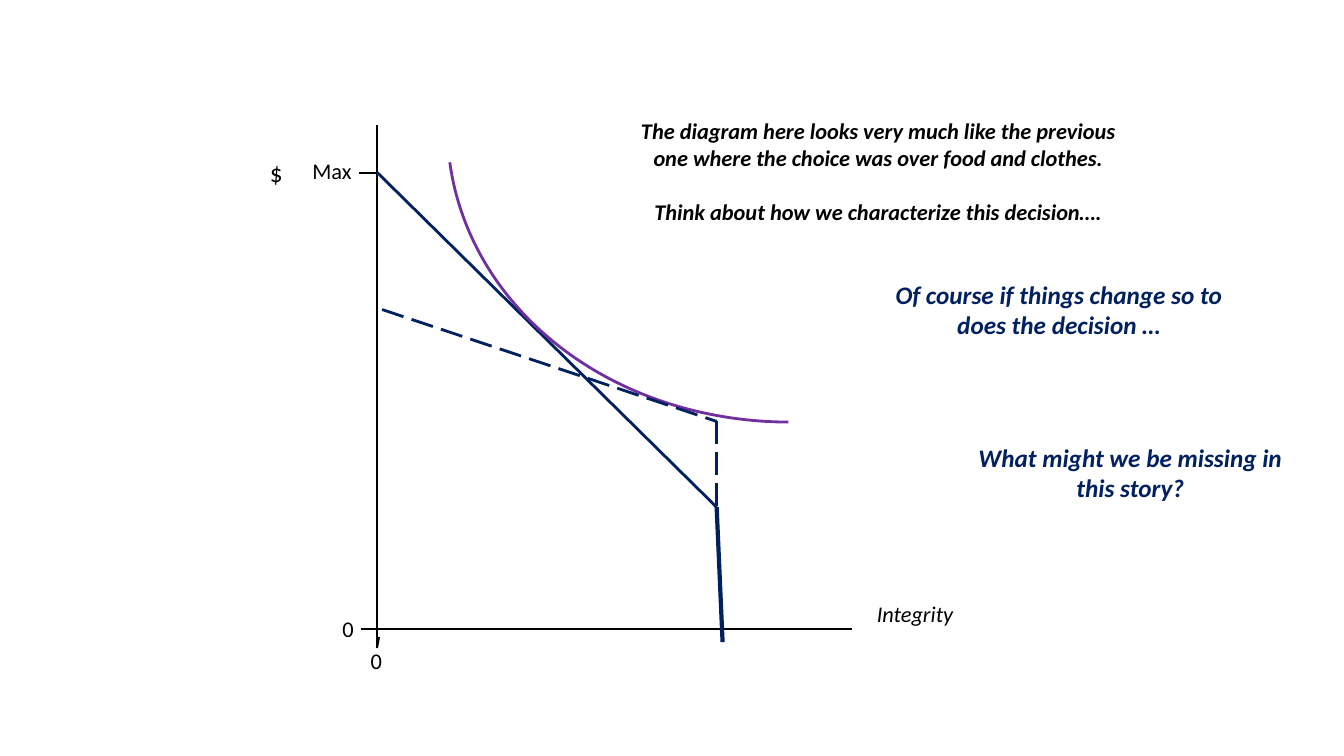
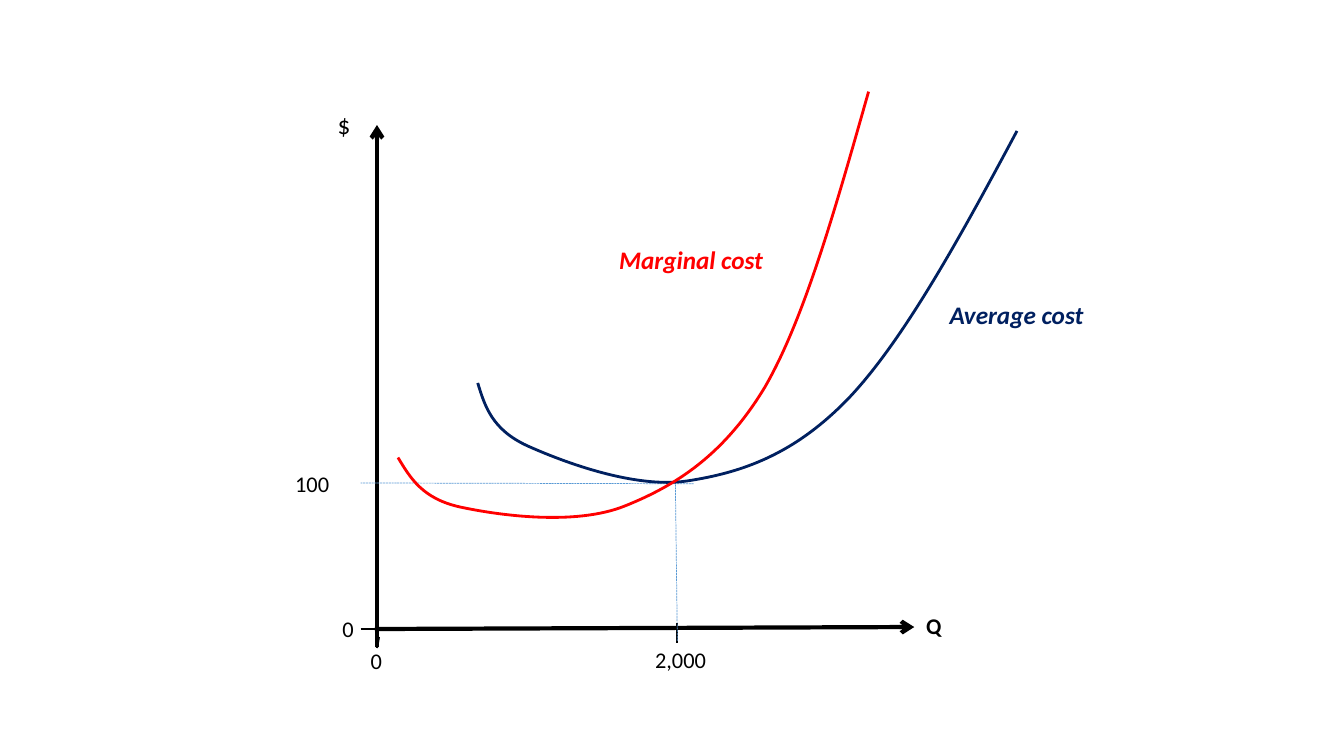
from lxml import etree
from pptx import Presentation
from pptx.dml.color import RGBColor
from pptx.enum.dml import MSO_LINE
from pptx.enum.shapes import MSO_CONNECTOR, MSO_SHAPE
from pptx.enum.text import MSO_AUTO_SIZE, PP_ALIGN
from pptx.oxml.ns import qn
from pptx.util import Cm, Pt

BLACK = RGBColor(0x00, 0x00, 0x00)
NAVY = RGBColor(0x00, 0x20, 0x60)
PURPLE = RGBColor(0x70, 0x30, 0xA0)
RED = RGBColor(0xFF, 0x00, 0x00)
BLUE = RGBColor(0x5B, 0x9B, 0xD5)

STRAIGHT = MSO_CONNECTOR.STRAIGHT
ARC = MSO_SHAPE.ARC
LONG_DASH = MSO_LINE.LONG_DASH
SHORT_DASH = MSO_LINE.SQUARE_DOT
LEFT = PP_ALIGN.LEFT
CENTER = PP_ALIGN.CENTER
GROW = MSO_AUTO_SIZE.SHAPE_TO_FIT_TEXT

FONT = "Calibri"
LABEL_SIZE = 16
NOTE_SIZE = 18
AXIS_X = 9.5
AXIS_Y = 15.85
LABEL_HEIGHT = 0.94
CURVE_WIDTH = 2
TICK_WIDTH = 1.5


class DiagramDeck:
    def __init__(self):
        self.deck = Presentation()
        self.deck.slide_width = Cm(33.87)
        self.deck.slide_height = Cm(19.05)
        self.page = None

    def add_page(self):
        self.page = self.deck.slides.add_slide(self.deck.slide_layouts[6])

    def stroke(self, line, color, width, dash=None):
        line.color.rgb = color
        line.width = Pt(width)
        if dash is not None:
            line.dash_style = dash

    def line(self, start, end, color=BLACK, width=TICK_WIDTH, dash=None, arrow=False):
        points = [Cm(value) for value in (*start, *end)]
        connector = self.page.shapes.add_connector(STRAIGHT, *points)
        self.stroke(connector.line, color, width, dash)
        properties = connector._element.spPr
        if arrow:
            outline = properties.find(qn("a:ln"))
            etree.SubElement(outline, qn("a:headEnd"), type="arrow")
        etree.SubElement(properties, qn("a:effectLst"))

    def text(self, content, left, top, width, height=LABEL_HEIGHT, size=LABEL_SIZE,
             color=BLACK, bold=False, italic=False, align=LEFT):
        box = self.page.shapes.add_textbox(Cm(left), Cm(top), Cm(width), Cm(height))
        frame = box.text_frame
        frame.word_wrap = True
        frame.auto_size = GROW
        frame.text = content
        for index, para in enumerate(frame.paragraphs):
            para.alignment = align
            if index:
                para.space_before = Pt(19.5)
            for span in para.runs:
                span.font.name = FONT
                span.font.size = Pt(size)
                span.font.bold = bold
                span.font.italic = italic
                span.font.color.rgb = color

    def note(self, content, left, top, width, height, color=NAVY, size=NOTE_SIZE):
        self.text(content, left, top, width, height, size, color, True, True, CENTER)

    def arc(self, left, top, width, height, start, rotation, color):
        shape = self.page.shapes.add_shape(ARC, Cm(left), Cm(top), Cm(width), Cm(height))
        shape.adjustments[0] = start
        shape.adjustments[1] = 0
        shape.rotation = rotation
        shape.shadow.inherit = False
        shape.fill.background()
        self.stroke(shape.line, color, CURVE_WIDTH)

    def curve(self, points, color):
        start, *others = [(Cm(x), Cm(y)) for x, y in points]
        builder = self.page.shapes.build_freeform(*start)
        builder.add_line_segments(others, close=False)
        shape = builder.convert_to_shape()
        segments = list(shape._element.iter(qn("a:lnTo")))
        for first, second, third in zip(*[iter(segments)] * 3):
            first.tag = qn("a:cubicBezTo")
            for segment in (second, third):
                first.append(segment[0])
                segment.getparent().remove(segment)
        shape.shadow.inherit = False
        shape.fill.background()
        self.stroke(shape.line, color, CURVE_WIDTH)

    def axes(self, right_end, width, arrow=False):
        self.line((AXIS_X, 3.15), (AXIS_X, 16.31), width=width, arrow=arrow)
        self.line(right_end, (9.45, AXIS_Y), width=width, arrow=arrow)
        self.line((AXIS_X, 16.33), (9.55, 16.05))
        self.line((9.09, AXIS_Y), (9.55, AXIS_Y))
        self.text("0", 9.09, 16.18, 1.09)
        self.text("0", 8.38, 15.37, 0.71)

    def save(self):
        self.deck.save("out.pptx")


def add_integrity_choice(diagram):
    diagram.add_page()
    diagram.axes((21.46, AXIS_Y), TICK_WIDTH)
    diagram.text("$", 6.55, 3.84, 2.18, 1.02, NOTE_SIZE)
    diagram.text("Max", 7.62, 3.84, 1.55)
    diagram.line((9.04, 4.37), (AXIS_X, 4.37))
    diagram.note(
        "The diagram here looks very much like the previous one where the choice "
        "was over food and clothes.\nThink about how we characterize this decision….",
        15.8, 2.82, 12.67, 3, BLACK, LABEL_SIZE)
    diagram.text("Integrity", 20.9, 14.99, 4.32, italic=True, align=CENTER)
    diagram.note("Of course if things change so to does the decision …",
                 22.15, 6.91, 9.07, 1.8)
    kink = (18.06, 12.78)
    raised_kink = (18.06, 10.62)
    diagram.line((AXIS_X, 4.34), kink, NAVY, CURVE_WIDTH)
    diagram.arc(11.25, -4.88, 18.06, 15.49, 168.51, 172.2, PURPLE)
    diagram.line((9.63, 7.8), raised_kink, NAVY, CURVE_WIDTH, LONG_DASH)
    diagram.note("What might we be missing in this story?", 23.95, 11.02, 9.07, 1.8)
    diagram.line(kink, (18.21, 16.18), NAVY, 3)
    diagram.line(raised_kink, kink, NAVY, CURVE_WIDTH, LONG_DASH)


def add_cost_curves(diagram):
    diagram.add_page()
    diagram.axes((23.04, 15.8), 3, arrow=True)
    diagram.text("$", 8.26, 2.62, 0.84, 1.02, NOTE_SIZE)
    diagram.line((17.07, 15.7), (17.07, 16.21))
    diagram.text("100", 7.19, 11.71, 2.13)
    diagram.text("Q", 23.09, 15.29, 3.23, bold=True)
    diagram.note("Average cost ", 23.39, 7.42, 4.6, 1.02)
    diagram.text("2,000", 16.26, 16.15, 1.93)
    diagram.line((17.07, 16.15), (17.02, 12.17), BLUE, 0.5, SHORT_DASH)
    diagram.line((17.48, 12.19), (9.09, 12.17), BLUE, 0.5, SHORT_DASH)
    average_cost = [
        (12.04, 9.65),
        (12.22, 10.24), (12.4, 10.82), (13.28, 11.23),
        (14.17, 11.63), (15.98, 12.32), (17.32, 12.12),
        (18.69, 11.91), (20.04, 11.46), (21.44, 9.98),
        (22.81, 8.51), (24.23, 5.92), (25.63, 3.3),
    ]
    marginal_cost = [
        (10.03, 11.53),
        (10.34, 12.04), (10.64, 12.57), (11.61, 12.78),
        (12.55, 12.98), (14.48, 13.26), (15.75, 12.75),
        (17.02, 12.24), (18.24, 11.48), (19.28, 9.75),
        (20.29, 8), (21.08, 5.16), (21.89, 2.31),
    ]
    diagram.curve(average_cost, NAVY)
    diagram.curve(marginal_cost, RED)
    diagram.note("Marginal cost ", 15.19, 6.02, 4.6, 1.02, RED)


def main():
    diagram = DiagramDeck()
    add_integrity_choice(diagram)
    add_cost_curves(diagram)
    diagram.save()


if __name__ == "__main__":
    main()
